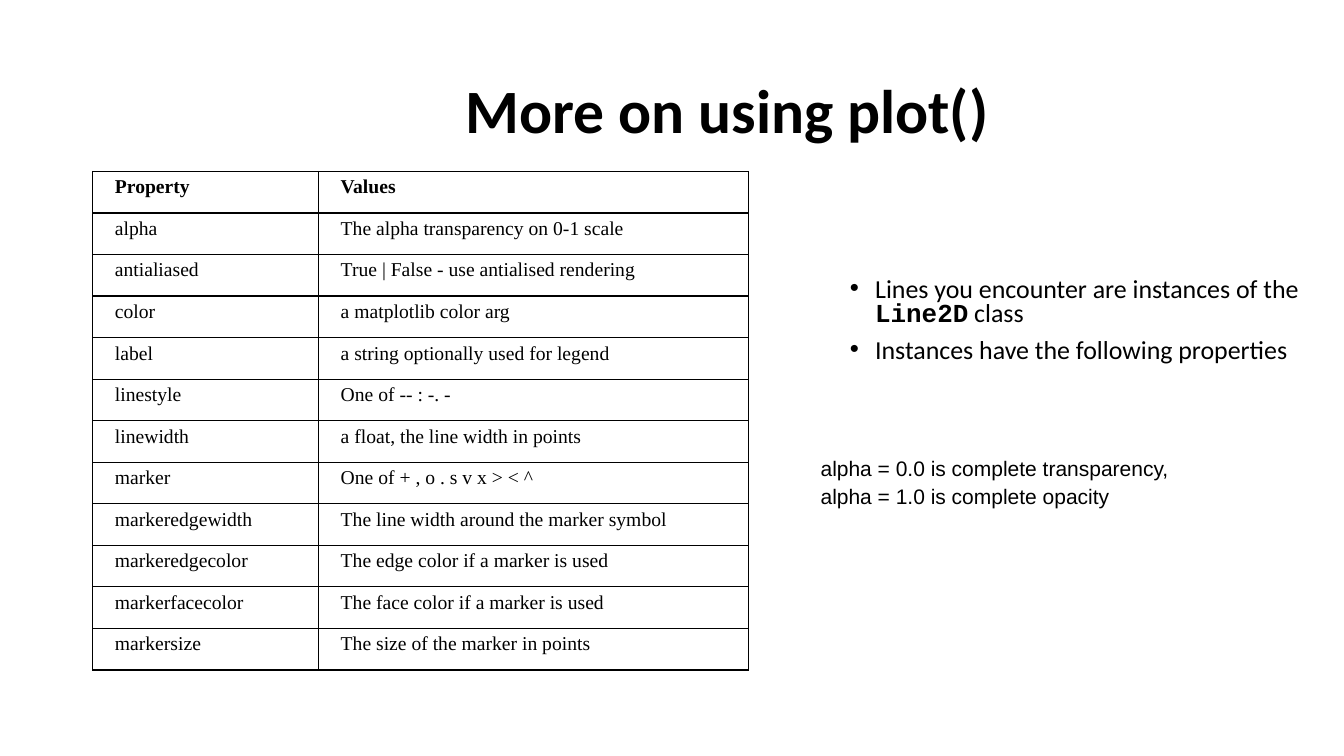
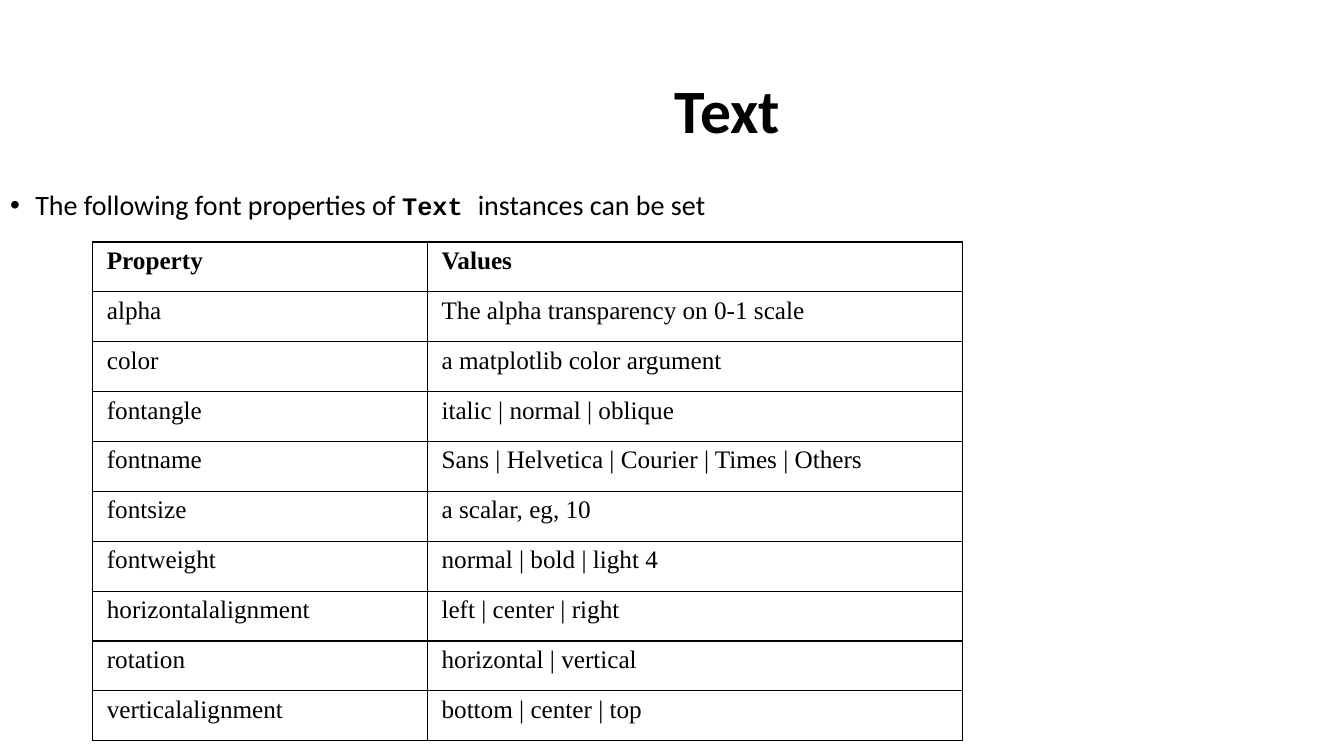
from dataclasses import dataclass

from lxml import etree
from pptx import Presentation
from pptx import util as u
from pptx.dml.color import RGBColor
from pptx.enum import text
from pptx.oxml import ns

BLACK = RGBColor(0x00, 0x00, 0x00)
WHITE = RGBColor(0xFF, 0xFF, 0xFF)
HEADING_FONT = "Calibri"
CODE_FONT = "Courier New"
TABLE_FONT = "Times New Roman"
NOTE_FONT = "Arial"


@dataclass(frozen=True)
class Box:
    left: float
    top: float
    width: float
    height: float


@dataclass(frozen=True)
class Span:
    text: str
    size: float
    font: str = HEADING_FONT
    bold: bool = False


@dataclass(frozen=True)
class Bullet:
    spans: tuple[Span, ...]
    line_spacing: float
    space_before: float


@dataclass(frozen=True)
class PropertyTable:
    box: Box
    name_width: float
    side_margin: float
    size: float
    rows: tuple[tuple[str, str], ...]


TITLE_BOX = Box(2.01, 0.4, 10.41, 1.45)
HEADER = ("Property", "Values")

LINE_TABLE = PropertyTable(Box(0.92, 1.7, 6.5, 4.95), 2.24, 0.22, 14, (
    HEADER,
    ("alpha", "The alpha transparency on 0-1 scale"),
    ("antialiased", "True | False - use antialised rendering"),
    ("color", "a matplotlib color arg"),
    ("label", "a string optionally used for legend"),
    ("linestyle", "One of -- : -. -"),
    ("linewidth", "a float, the line width in points"),
    ("marker", "One of + , o . s v x > < ^"),
    ("markeredgewidth", "The line width around the marker symbol"),
    ("markeredgecolor", "The edge color if a marker is used"),
    ("markerfacecolor", "The face color if a marker is used"),
    ("markersize", "The size of the marker in points"),
))
LINE_BULLETS = (
    Bullet((Span("Lines you encounter are instances of the ", 18.5),
            Span("Line2D", 18.5, CODE_FONT, True),
            Span(" class", 18.5)), 0.8, 10),
    Bullet((Span("Instances have the following properties", 18.5),), 0.8, 8),
)
ALPHA_NOTE = (
    Span("alpha = 0.0 is complete transparency, alpha = 1.0 is complete opacity",
         15, NOTE_FONT),
    Span(" ", 17, NOTE_FONT),
)

TEXT_TABLE = PropertyTable(Box(0.92, 2.4, 8.63, 4.95), 3.32, 0.14, 18, (
    HEADER,
    ("alpha", "The alpha transparency on 0-1 scale"),
    ("color", "a matplotlib color argument"),
    ("fontangle", "italic | normal | oblique"),
    ("fontname", "Sans | Helvetica | Courier | Times | Others"),
    ("fontsize", "a scalar, eg, 10"),
    ("fontweight", "normal | bold | light 4"),
    ("horizontalalignment", "left | center | right"),
    ("rotation", "horizontal | vertical"),
    ("verticalalignment", "bottom | center | top"),
))
TEXT_BULLETS = (
    Bullet((Span("The following font properties of ", 20),
            Span("Text ", 18, CODE_FONT, True),
            Span("instances can be set", 20)), 0.9, 10),
)


def place(shape, box: Box) -> None:
    shape.left, shape.top = u.Inches(box.left), u.Inches(box.top)
    shape.width, shape.height = u.Inches(box.width), u.Inches(box.height)


def add_spans(paragraph, spans: tuple[Span, ...]) -> None:
    for span in spans:
        run = paragraph.add_run()
        run.text = span.text
        run.font.name = span.font
        run.font.size = u.Pt(span.size)
        run.font.bold = span.bold
        run.font.color.rgb = BLACK


def set_hanging_indent(paragraph, indent: float) -> None:
    properties = paragraph._p.get_or_add_pPr()
    properties.set("marL", str(u.Inches(indent)))
    properties.set("indent", str(-u.Inches(indent)))


def add_borders(cell) -> None:
    properties = cell._tc.get_or_add_tcPr()
    for side in ("lnL", "lnR", "lnT", "lnB"):
        line = etree.SubElement(properties, ns.qn(f"a:{side}"), w=str(u.Pt(1)))
        fill = etree.SubElement(line, ns.qn("a:solidFill"))
        etree.SubElement(fill, ns.qn("a:srgbClr"), val=str(BLACK))


def add_titled_slide(presentation, title: str):
    slide = presentation.slides.add_slide(presentation.slide_layouts[1])
    slide.background.fill.solid()
    slide.background.fill.fore_color.rgb = WHITE
    shape = slide.shapes.title
    place(shape, TITLE_BOX)
    frame = shape.text_frame
    frame.vertical_anchor = text.MSO_ANCHOR.MIDDLE
    paragraph = frame.paragraphs[0]
    paragraph.alignment = text.PP_ALIGN.CENTER
    paragraph.line_spacing = 0.9
    add_spans(paragraph, (Span(title, 44, bold=True),))
    return slide


def fill_body(slide, box: Box, bullets: tuple[Bullet, ...]) -> None:
    body = slide.placeholders[1]
    place(body, box)
    frame = body.text_frame
    frame.auto_size = text.MSO_AUTO_SIZE.NONE
    for index, bullet in enumerate(bullets):
        paragraph = frame.add_paragraph() if index else frame.paragraphs[0]
        set_hanging_indent(paragraph, 0.25)
        paragraph.line_spacing = bullet.line_spacing
        paragraph.space_before = u.Pt(bullet.space_before)
        add_spans(paragraph, bullet.spans)


def add_property_table(slide, content: PropertyTable) -> None:
    box = content.box
    table = slide.shapes.add_table(
        len(content.rows), len(HEADER), u.Inches(box.left), u.Inches(box.top),
        u.Inches(box.width), u.Inches(box.height)).table
    table.columns[0].width = u.Inches(content.name_width)
    table.columns[1].width = u.Inches(box.width - content.name_width)
    for row_index, row in enumerate(content.rows):
        table.rows[row_index].height = u.Inches(box.height / len(content.rows))
        for column_index, value in enumerate(row):
            cell = table.cell(row_index, column_index)
            cell.margin_left = cell.margin_right = u.Inches(content.side_margin)
            cell.margin_top = cell.margin_bottom = u.Inches(0.05)
            add_borders(cell)
            cell.fill.background()
            paragraph = cell.text_frame.paragraphs[0]
            set_hanging_indent(paragraph, 0.38)
            add_spans(paragraph, (
                Span(value, content.size, TABLE_FONT, row_index == 0),))


def add_note(slide, box: Box, spans: tuple[Span, ...]) -> None:
    shape = slide.shapes.add_textbox(0, 0, 0, 0)
    place(shape, box)
    shape.text_frame.word_wrap = True
    add_spans(shape.text_frame.paragraphs[0], spans)


def main() -> None:
    presentation = Presentation()
    presentation.slide_width = u.Inches(13.33)
    presentation.slide_height = u.Inches(7.5)

    # Line properties
    slide = add_titled_slide(presentation, "More on using plot()")
    add_property_table(slide, LINE_TABLE)
    fill_body(slide, Box(8.33, 2.71, 5, 1.05), LINE_BULLETS)
    add_note(slide, Box(8.04, 4.47, 3.75, 0.67), ALPHA_NOTE)

    # Text properties
    slide = add_titled_slide(presentation, "Text")
    add_property_table(slide, TEXT_TABLE)
    fill_body(slide, Box(0, 1.85, 8.92, 0.42), TEXT_BULLETS)

    presentation.save("out.pptx")


if __name__ == "__main__":
    main()
